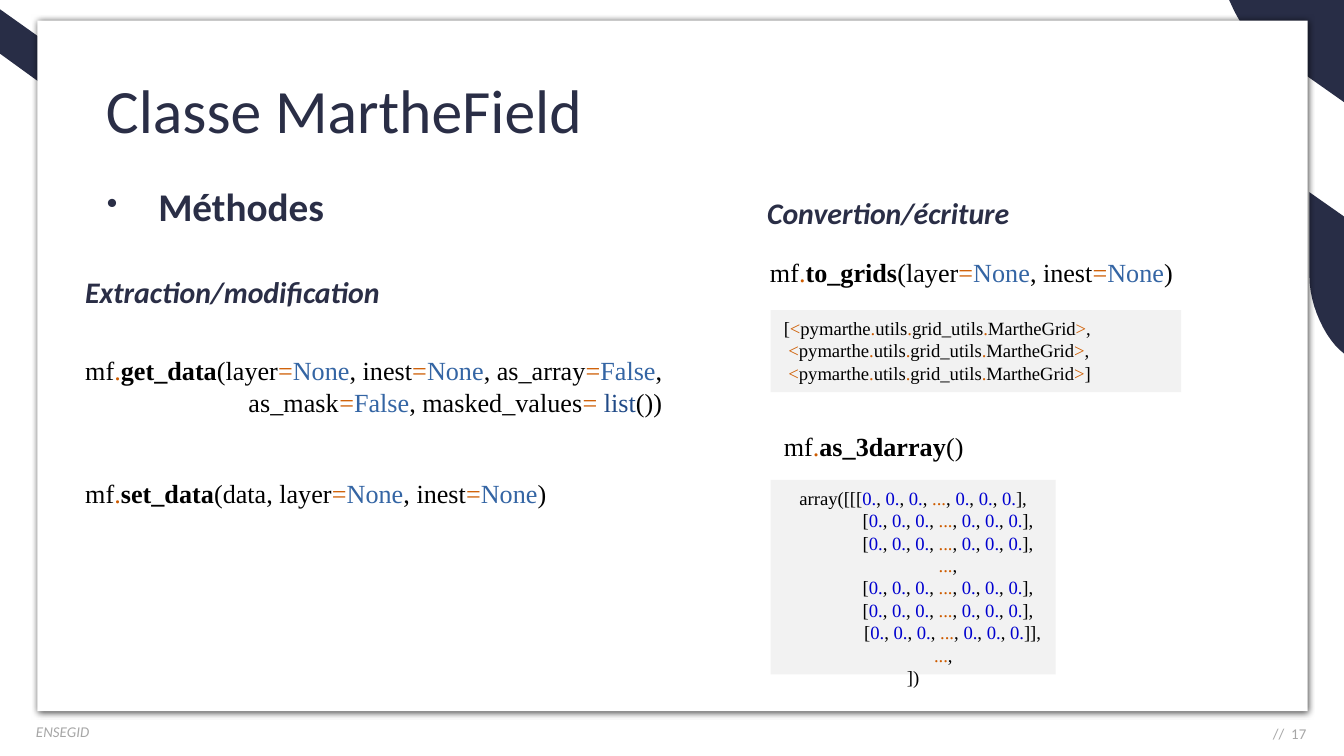
from lxml import etree
from pptx import Presentation
from pptx import util as u
from pptx.dml.color import RGBColor
from pptx.enum import shapes, text
from pptx.oxml import ns

Pt = u.Pt
COLOURS = {
    "navy": "282D46", "ink": "2A2E46", "white": "FFFFFF", "grey": "A6A6A6",
    "panel": "F2F2F2", "black": "000000", "operator": "CE5C00",
    "constant": "3465A4", "builtin": "204A87", "number": "0000CF",
}
HEADING_FONT, CODE_FONT = "Calibri", "Times New Roman"

# Syntax colours of code tokens; every other token is black
SYNTAX = {
    **dict.fromkeys([".", "=", "<", ">", "..."], "operator"),
    **dict.fromkeys(["None", "False"], "constant"),
    "list": "builtin", "0.": "number",
}
METHODS = {"get_data", "set_data", "to_grids", "as_3darray"}

# Code lines, with tokens separated by "|"
GET_DATA = [
    "mf|.|get_data|(layer|=|None|, inest|=|None|, as_array|=|False|,",
    " " * 25 + "|as_mask|=|False|, masked_values|= |list|())",
]
SET_DATA = "mf|.|set_data|(data, layer|=|None|, inest|=|None|)"
TO_GRIDS = "mf|.|to_grids|(layer|=|None|, inest|=|None|)"
AS_ARRAY = "mf|.|as_3darray|()"
GRID = "<|pymarthe|.|utils|.|grid_utils|.|MartheGrid|>"
GRID_LIST = [f"[|{GRID}|,", f" |{GRID}|,", f" |{GRID}|]"]
ZEROS = "|, |".join(["0."] * 3 + ["..."] + ["0."] * 3)
INDENT = " " * 15
ROW = f"{INDENT}[|{ZEROS}|],"
ARRAY = [f"array([[[|{ZEROS}|],", ROW, ROW, f"{INDENT}|...|,", ROW, ROW,
         f"{' ' * 17}[|{ZEROS}|]],", f"{' ' * 13}|...|,", "])"]


def colour(name):
    return RGBColor.from_string(COLOURS[name])


def style(span, font, size, tint, bold=False, italic=False):
    span.font.name, span.font.size = font, Pt(size)
    span.font.bold, span.font.italic = bold, italic
    span.font.color.rgb = colour(tint)


def add_label(page, frame, words, size, tint="ink", bold=False, italic=False,
              align=text.PP_ALIGN.LEFT, anchor=text.MSO_ANCHOR.TOP):
    """A one-line text box; returns its paragraph."""
    box = page.shapes.add_textbox(*map(Pt, frame))
    box.text_frame.word_wrap = True
    box.text_frame.vertical_anchor = anchor
    para = box.text_frame.paragraphs[0]
    para.text, para.alignment = words, align
    style(para.runs[0], HEADING_FONT, size, tint, bold, italic)
    return para


def add_bullet(para):
    props = para._p.get_or_add_pPr()
    props.set("marL", str(Pt(28)))
    props.set("indent", str(Pt(-27.5)))
    etree.SubElement(props, ns.qn("a:buSzPct"), val="80000")
    etree.SubElement(props, ns.qn("a:buChar"), char="•")


def write_code(box, lines, size, align=text.PP_ALIGN.LEFT):
    frame = box.text_frame
    frame.vertical_anchor = text.MSO_ANCHOR.TOP
    for number, line in enumerate(lines):
        para = frame.add_paragraph() if number else frame.paragraphs[0]
        para.alignment = align
        for token in line.split("|"):
            span = para.add_run()
            span.text = token
            style(span, CODE_FONT, size, SYNTAX.get(token.strip(), "black"),
                  bold=token in METHODS)


def add_code(page, frame, lines, wrap=True):
    box = page.shapes.add_textbox(*map(Pt, frame))
    box.text_frame.word_wrap = wrap
    write_code(box, lines, 14)
    return box


def add_rectangle(page, frame, fill):
    box = page.shapes.add_shape(shapes.MSO_SHAPE.RECTANGLE, *map(Pt, frame))
    box.shadow.inherit = False
    box.fill.solid()
    box.fill.fore_color.rgb = colour(fill)
    box.line.fill.background()
    return box


def add_output(page, frame, lines, align=text.PP_ALIGN.LEFT):
    box = add_rectangle(page, frame, "panel")
    box.text_frame.word_wrap = True
    write_code(box, lines, 10, align)


def add_shadow(box):
    effects = box._element.spPr.find(ns.qn("a:effectLst"))
    shadow = etree.SubElement(effects, ns.qn("a:outerShdw"), blurRad=str(Pt(4)),
                              dist=str(Pt(1)), dir="2700000", algn="tl", rotWithShape="0")
    tint = etree.SubElement(shadow, ns.qn("a:srgbClr"), val=COLOURS["black"])
    etree.SubElement(tint, ns.qn("a:alpha"), val="75000")


def curve(points, steps=12):
    """Points along a cubic Bezier curve, without its start."""
    def at(t):
        weights = ((1 - t) ** 3, 3 * t * (1 - t) ** 2, 3 * t * t * (1 - t), t ** 3)
        return tuple(sum(w * p[axis] for w, p in zip(weights, points)) for axis in (0, 1))
    return [at(step / steps) for step in range(1, steps + 1)]


def add_ribbon(page, corners, bend, tail):
    """A navy outline: straight corners, a rounded bend, then a last corner."""
    outline = corners + curve([corners[-1], *bend]) + [tail]
    (left, top), *rest = [(Pt(x), Pt(y)) for x, y in outline]
    builder = page.shapes.build_freeform(left, top)
    builder.add_line_segments(rest, close=True)
    ribbon = builder.convert_to_shape()
    ribbon.shadow.inherit = False
    ribbon.fill.solid()
    ribbon.fill.fore_color.rgb = colour("navy")
    ribbon.line.fill.background()


def main():
    deck = Presentation()
    deck.slide_width, deck.slide_height = Pt(720), Pt(405)
    page = deck.slides.add_slide(deck.slide_layouts[6])
    align, middle = text.PP_ALIGN, text.MSO_ANCHOR.MIDDLE

    # Corner ribbons and the white sheet over them
    add_ribbon(page, [(658.5, 0), (720, 0), (720, 54.7), (673, 21.6)],
               [(668, 18), (664, 11.5), (660.5, 4.3)], (658.5, 0))
    add_ribbon(page, [(701.5, 103), (720, 116), (720, 189.4)],
               [(710, 182), (701.5, 163.5), (701.5, 148.3)], (701.5, 103))
    add_ribbon(page, [(36.7, 55.4), (0, 28.8), (0, 5), (31, 27)],
               [(33.8, 29.5), (36.7, 35.3), (36.7, 40.3)], (36.7, 55.4))
    add_shadow(add_rectangle(page, (20, 11, 680.5, 370), "white"))

    # Footer
    add_label(page, (581, 385.2, 126, 15.1), "//  17", 8, "grey",
              align=align.RIGHT, anchor=middle)
    add_label(page, (12.2, 383.8, 250.5, 17.2), "ENSEGID", 8, "grey", italic=True)

    # Title and topic
    title = add_label(page, (49.7, 21.6, 620.6, 78.5), "Classe MartheField", 33, anchor=middle)
    topic = add_label(page, (49.7, 97.2, 166.3, 48.2), "Méthodes", 21, bold=True)
    title.line_spacing = topic.line_spacing = 0.9
    add_bullet(topic)

    # Left column: extraction and modification
    add_label(page, (38.6, 143.3, 260, 26.6), "Extraction/modification", 16,
              bold=True, italic=True)
    calls = add_code(page, (38.6, 186.5, 535, 92.2), GET_DATA + [SET_DATA])
    calls.text_frame.paragraphs[-1].space_before = Pt(32.2)

    # Right column: conversion and writing
    add_label(page, (396, 100.8, 159.8, 26.6), "Convertion/écriture", 16,
              bold=True, italic=True, align=align.CENTER)
    add_code(page, (405.4, 133.9, 244, 24.5), [TO_GRIDS], wrap=False)
    add_output(page, (412.8, 166.2, 220, 43.9), GRID_LIST)
    add_code(page, (412.8, 226.8, 110.9, 24.5), [AS_ARRAY], wrap=False)
    add_output(page, (412.8, 257.1, 152.8, 104.2), ARRAY, align.CENTER)

    deck.save("out.pptx")


if __name__ == "__main__":
    main()
